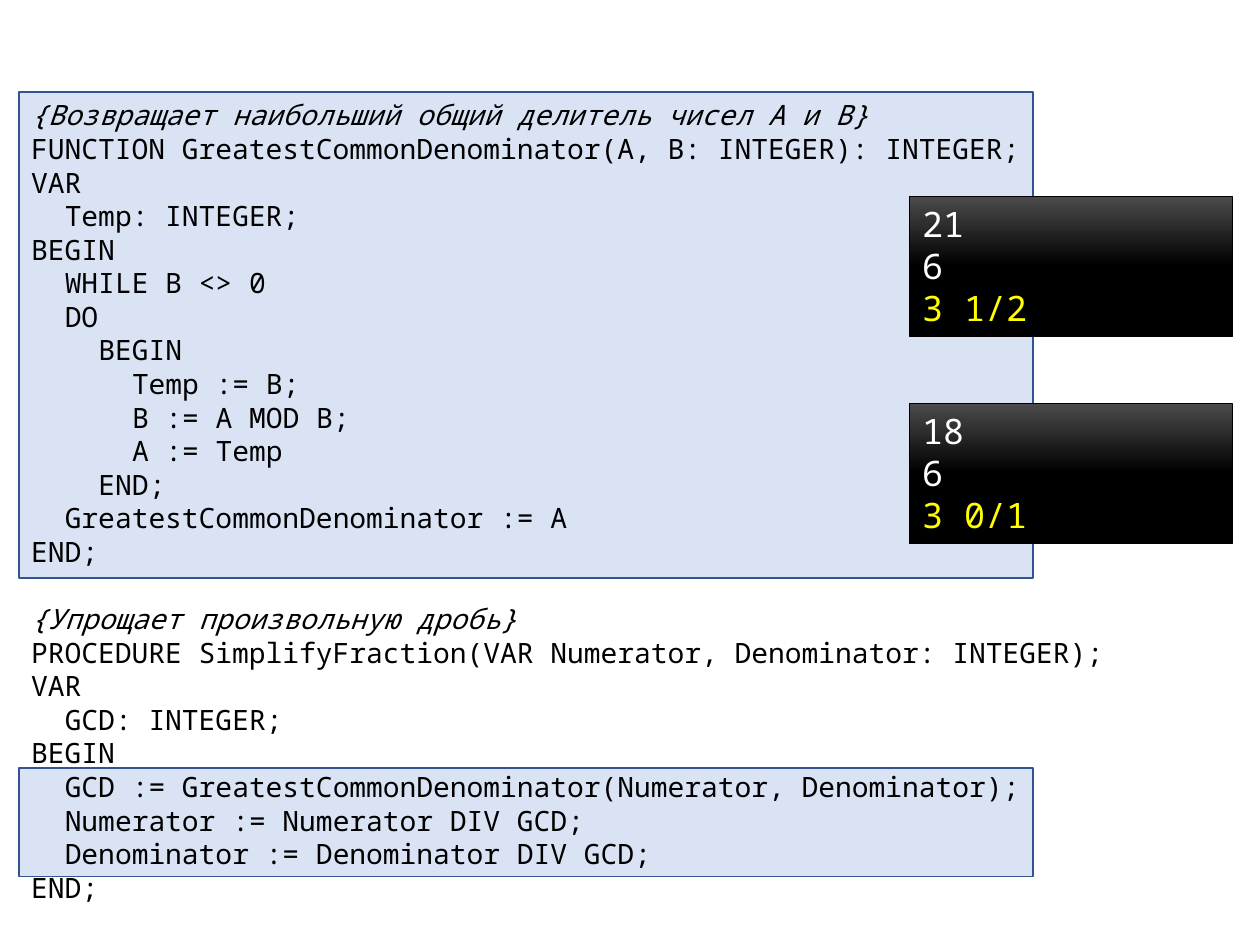
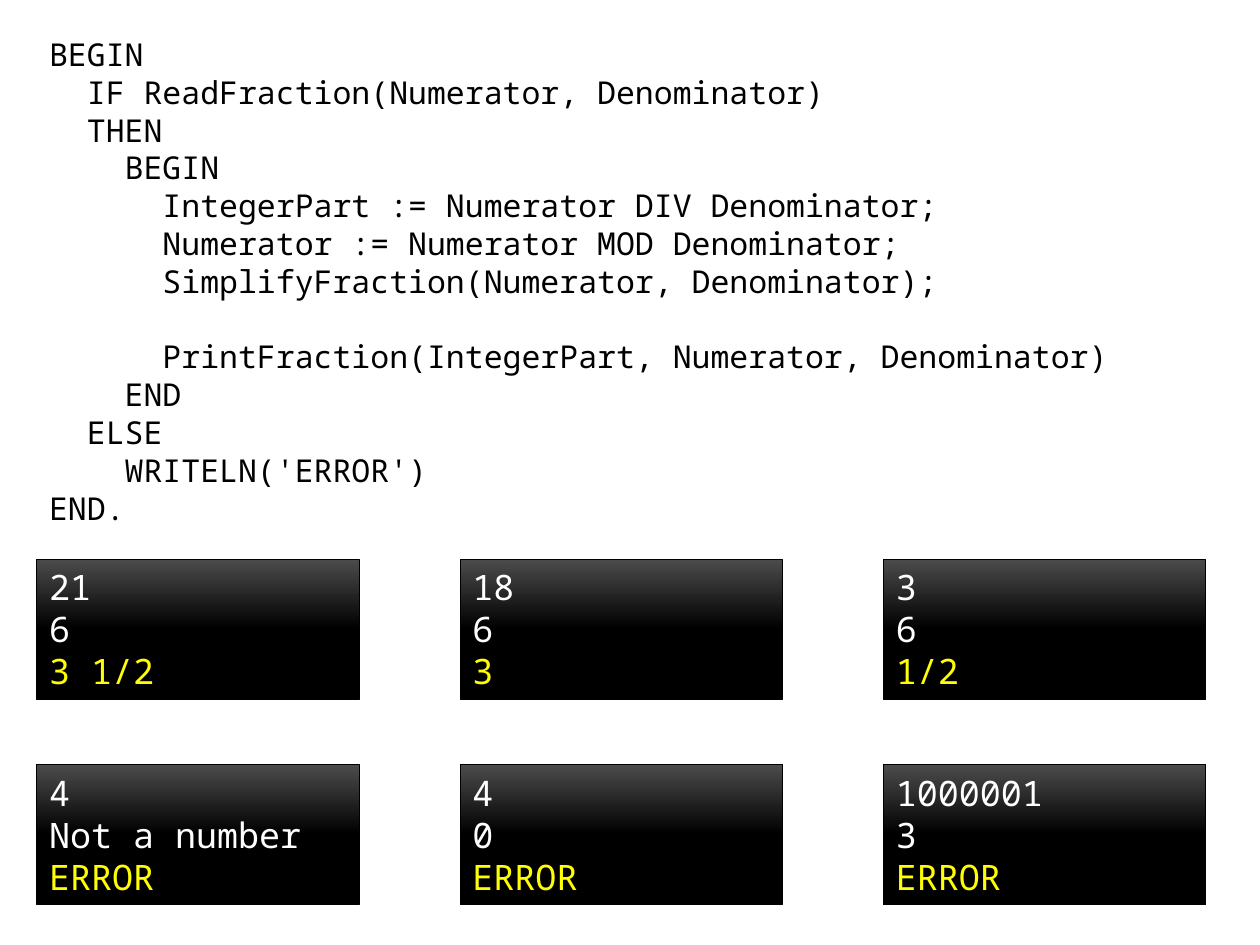
import pptx
import pptx.dml.color
import pptx.enum.shapes
import pptx.enum.text
import pptx.util

Cm, Pt = pptx.util.Cm, pptx.util.Pt
MONO = "Noto Sans Mono"
CHAR_WIDTH, LINE_HEIGHT = 0.6, 1.2
COLOURS = {"ink": "000000", "panel": "DAE3F3", "panel_edge": "325491",
           "screen_top": "4B4B4B", "screen": "000000",
           "input": "FFFFFF", "output": "FFFF00"}
CONSOLE_WIDTH, CONSOLE_HEIGHT = 6.5, 2.82

SIMPLIFY_CODE = """{Возвращает наибольший общий делитель чисел A и B}
FUNCTION GreatestCommonDenominator(A, B: INTEGER): INTEGER;
VAR
  Temp: INTEGER;
BEGIN
  WHILE B <> 0
  DO
    BEGIN
      Temp := B;
      B := A MOD B;
      A := Temp
    END;
  GreatestCommonDenominator := A
END;

{Упрощает произвольную дробь}
PROCEDURE SimplifyFraction(VAR Numerator, Denominator: INTEGER);
VAR
  GCD: INTEGER;
BEGIN
  GCD := GreatestCommonDenominator(Numerator, Denominator);
  Numerator := Numerator DIV GCD;
  Denominator := Denominator DIV GCD;
END;"""

MAIN_CODE = """BEGIN
  IF ReadFraction(Numerator, Denominator)
  THEN
    BEGIN
      IntegerPart := Numerator DIV Denominator;
      Numerator := Numerator MOD Denominator;
      SimplifyFraction(Numerator, Denominator);

      PrintFraction(IntegerPart, Numerator, Denominator)
    END
  ELSE
    WRITELN('ERROR')
END."""

SIMPLIFY_RUNS = [("21", "6", "3 1/2"), ("18", "6", "3 0/1")]
MAIN_RUNS = [[("21", "6", "3 1/2"), ("18", "6", "3"), ("3", "6", "1/2")],
             [("4", "Not a number", "ERROR"), ("4", "0", "ERROR"),
              ("1000001", "3", "ERROR")]]


def colour(name):
    """Return the named colour as an RGB value."""
    return pptx.dml.color.RGBColor.from_string(COLOURS[name])


def apply_format(target, values):
    """Set each attribute of the target from a dict."""
    for name, value in values.items():
        setattr(target, name, value)


def place(box):
    """Turn a box in centimetres into shape lengths."""
    return [Cm(length) for length in box]


def write_lines(frame, lines, size):
    """Fill a frame with (text, colour, italic) lines, indented by their depth."""
    apply_format(frame, {
        "word_wrap": True,
        "vertical_anchor": pptx.enum.text.MSO_ANCHOR.TOP,
        "auto_size": pptx.enum.text.MSO_AUTO_SIZE.SHAPE_TO_FIT_TEXT})
    para, gap = None, 0
    for text, ink, italic in lines:
        if not text:
            gap += size * LINE_HEIGHT
            continue
        para = frame.paragraphs[0] if para is None else frame.add_paragraph()
        apply_format(para, {"alignment": pptx.enum.text.PP_ALIGN.LEFT,
                            "line_spacing": Pt(size * LINE_HEIGHT),
                            "space_before": Pt(gap)})
        depth = len(text) - len(text.lstrip())
        indent = Pt(depth * size * CHAR_WIDTH)
        para._p.get_or_add_pPr().set("marL", str(indent))
        span = para.add_run()
        span.text = text.lstrip()
        apply_format(span.font, {"name": MONO, "size": Pt(size), "italic": italic})
        span.font.color.rgb = colour(ink)
        gap = 0


def add_rectangle(page, box, edge, width):
    """Add an outlined rectangle without a shadow."""
    shape = page.shapes.add_shape(
        pptx.enum.shapes.MSO_SHAPE.RECTANGLE, *place(box))
    shape.shadow.inherit = False
    shape.line.color.rgb = colour(edge)
    shape.line.width = Pt(width)
    return shape


def add_highlight(page, box):
    """Add a pale panel that stands behind code."""
    panel = add_rectangle(page, box, "panel_edge", 1)
    panel.fill.solid()
    panel.fill.fore_color.rgb = colour("panel")


def add_code(page, box, code, size):
    """Add a program listing with its comments in italics."""
    frame = page.shapes.add_textbox(*place(box)).text_frame
    lines = [(line, "ink", line.startswith("{")) for line in code.splitlines()]
    write_lines(frame, lines, size)


def add_console(page, left, top, texts):
    """Add a console screen whose last line is the program's output."""
    screen = add_rectangle(
        page, (left, top, CONSOLE_WIDTH, CONSOLE_HEIGHT), "screen", 0.5)
    screen.fill.gradient()
    screen.fill.gradient_angle = 270
    stops = screen.fill.gradient_stops
    for stop, position, name in zip(stops, (0, 0.5), ("screen_top", "screen")):
        stop.position = position
        stop.color.rgb = colour(name)
    inks = ("input", "input", "output")
    lines = [(text, ink, False) for text, ink in zip(texts, inks)]
    write_lines(screen.text_frame, lines, 20)


def build_simplify_page(page, box):
    """Show the simplifying routines, with two sample runs at the right."""
    left, top, width, height = box
    panel_width = 20.45
    for offset, panel_height in ((13.64, 2.18), (0, 9.8)):
        add_highlight(page, (left, top + offset, panel_width, panel_height))
    add_code(page, box, SIMPLIFY_CODE, 16)
    for row, texts in enumerate(SIMPLIFY_RUNS):
        add_console(page, left + width - CONSOLE_WIDTH,
                    top + 2.11 + row * 4.17, texts)


def build_main_page(page, box):
    """Show the main program above a grid of sample runs."""
    left, top, width, height = box
    add_code(page, (left, top, width, 10.26), MAIN_CODE, 18)
    column_step = (width - CONSOLE_WIDTH) / 2
    first_row = top + height - CONSOLE_HEIGHT - 4.14
    for row, runs in enumerate(MAIN_RUNS):
        for column, texts in enumerate(runs):
            add_console(page, left + column * column_step,
                        first_row + row * 4.14, texts)


def main():
    """Build both pages and save the deck."""
    deck = pptx.Presentation()
    apply_format(deck, {"slide_width": Cm(25.4), "slide_height": Cm(19.05)})
    pages = [(build_simplify_page, (0.38, 1.85, 24.46, 17.2)),
             (build_main_page, (0.74, 0.58, 23.57, 17.66))]
    for build, box in pages:
        build(deck.slides.add_slide(deck.slide_layouts[6]), box)
    deck.save("out.pptx")


if __name__ == "__main__":
    main()
